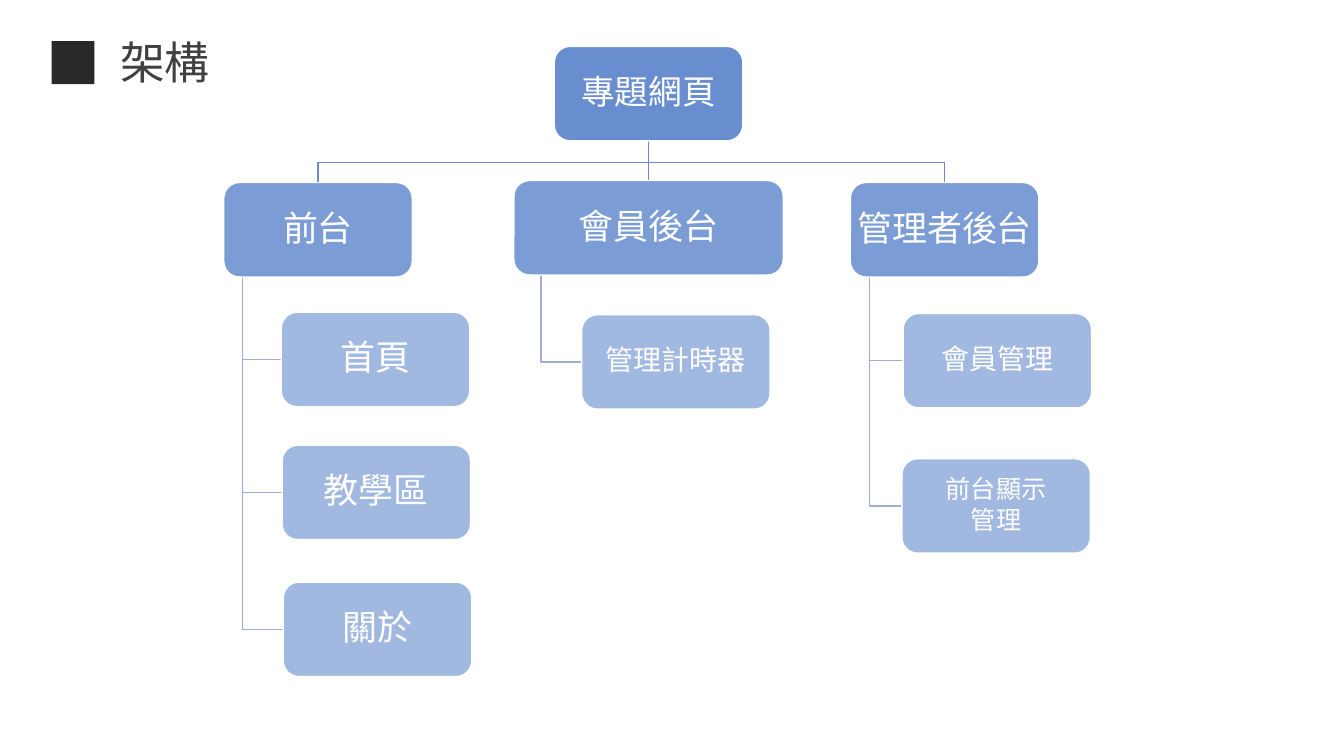
"""Build the site structure slide: a title and a three-level organisation chart."""
from dataclasses import dataclass, field

import pptx
import pptx.dml.color
import pptx.enum.shapes
import pptx.enum.text
import pptx.oxml.ns
import pptx.util
from lxml import etree
from pptx.util import Cm

COLORS = {
    "marker": "292929",
    "title": "404040",
    "node": "4472C4",
    "white": "FFFFFF",
    "branch": "6D89CB",
    "twig": "9EADD8",
}
FONT = "Noto Sans CJK SC"
NODE_WIDTH = 4.75
NODE_HEIGHT = 2.38
BUS_GAP = 0.51
OPACITY = (80, 70, 50)


@dataclass
class Node:
    lines: list[str]
    left: float
    top: float
    size: float = 25
    width: float = NODE_WIDTH
    children: list["Node"] = field(default_factory=list)

    @property
    def center(self) -> float:
        return self.left + self.width / 2

    @property
    def middle(self) -> float:
        return self.top + NODE_HEIGHT / 2

    @property
    def bottom(self) -> float:
        return self.top + NODE_HEIGHT


SITE = Node(["專題網頁"], 13.97, 1.17, 24, children=[
    Node(["前台"], 5.64, 4.6, children=[
        Node(["首頁"], 7.09, 7.87),
        Node(["教學區"], 7.11, 11.22),
        Node(["關於"], 7.14, 14.67),
    ]),
    Node(["會員後台"], 12.95, 4.55, width=6.79, children=[
        Node(["管理計時器"], 14.66, 7.93, 20),
    ]),
    Node(["管理者後台"], 21.43, 4.6, children=[
        Node(["會員管理"], 22.76, 7.9, 20),
        Node(["前台顯示", "管理"], 22.73, 11.56, 18),
    ]),
])


def rgb(name: str) -> pptx.dml.color.RGBColor:
    return pptx.dml.color.RGBColor.from_string(COLORS[name])


def add_run(para, text: str, size: float, color: str) -> None:
    run = para.add_run()
    run.text = text
    run.font.size = pptx.util.Pt(size)
    run.font.name = FONT
    run.font.color.rgb = rgb(color)
    east_asian = etree.SubElement(run.font._element, pptx.oxml.ns.qn("a:ea"))
    east_asian.set("typeface", FONT)


def draw_path(page, points: list[tuple[float, float]], color: str) -> None:
    corners = [(Cm(x), Cm(y)) for x, y in points]
    if len(corners) == 2:
        line = page.shapes.add_connector(
            pptx.enum.shapes.MSO_CONNECTOR.STRAIGHT, *corners[0], *corners[1])
        etree.SubElement(line._element.spPr, pptx.oxml.ns.qn("a:effectLst"))
    else:
        builder = page.shapes.build_freeform(*corners[0])
        builder.add_line_segments(corners[1:], close=False)
        line = builder.convert_to_shape()
        line.fill.background()
        line.shadow.inherit = False
    line.line.color.rgb = rgb(color)
    line.line.width = pptx.util.Pt(1)


def draw_links(page, parent: Node, level: int = 0) -> None:
    for child in parent.children:
        draw_links(page, child, level + 1)
        if level:
            stem = parent.left + parent.width / 10
            points = [(stem, parent.bottom), (stem, child.middle), (child.left, child.middle)]
        elif abs(parent.center - child.center) < 0.1:
            points = [(parent.center, parent.bottom), (parent.center, child.top)]
        else:
            bus = child.top - BUS_GAP
            points = [(parent.center, parent.bottom), (parent.center, bus),
                      (child.center, bus), (child.center, child.top)]
        draw_path(page, points, "twig" if level else "branch")


def draw_node(page, node: Node, level: int = 0) -> None:
    box = page.shapes.add_shape(
        pptx.enum.shapes.MSO_SHAPE.ROUNDED_RECTANGLE,
        Cm(node.left), Cm(node.top), Cm(node.width), Cm(NODE_HEIGHT))
    box.shadow.inherit = False
    box.fill.solid()
    box.fill.fore_color.rgb = rgb("node")
    fill_color = box._element.spPr.find(".//" + pptx.oxml.ns.qn("a:srgbClr"))
    alpha = etree.SubElement(fill_color, pptx.oxml.ns.qn("a:alpha"))
    alpha.set("val", str(OPACITY[level] * 1000))
    box.line.color.rgb = rgb("white")
    box.line.width = pptx.util.Pt(1)

    frame = box.text_frame
    frame.word_wrap = True
    frame.vertical_anchor = pptx.enum.text.MSO_ANCHOR.MIDDLE
    frame.margin_left = frame.margin_right = Cm(0.05)
    frame.margin_top = frame.margin_bottom = Cm(0.05)
    for index, text in enumerate(node.lines):
        para = frame.add_paragraph() if index else frame.paragraphs[0]
        para.alignment = pptx.enum.text.PP_ALIGN.CENTER
        para.line_spacing = 0.9
        para.space_after = pptx.util.Pt(2.2)
        add_run(para, text, node.size, "white")
    for child in node.children:
        draw_node(page, child, level + 1)


def draw_title(page) -> None:
    marker = page.shapes.add_shape(
        pptx.enum.shapes.MSO_SHAPE.RECTANGLE, Cm(1.3), Cm(1.04), Cm(1.08), Cm(1.08))
    marker.shadow.inherit = False
    marker.fill.solid()
    marker.fill.fore_color.rgb = rgb("marker")
    marker.line.fill.background()
    title = page.shapes.add_textbox(Cm(2.78), Cm(0.76), Cm(2.79), Cm(1.63))
    title.text_frame.word_wrap = False
    title.text_frame.auto_size = pptx.enum.text.MSO_AUTO_SIZE.SHAPE_TO_FIT_TEXT
    add_run(title.text_frame.paragraphs[0], "架構", 32, "title")


def main() -> None:
    deck = pptx.Presentation()
    deck.slide_width, deck.slide_height = Cm(33.87), Cm(19.05)
    page = deck.slides.add_slide(deck.slide_layouts[6])
    draw_title(page)
    draw_links(page, SITE)
    draw_node(page, SITE)
    deck.save("out.pptx")


if __name__ == "__main__":
    main()
